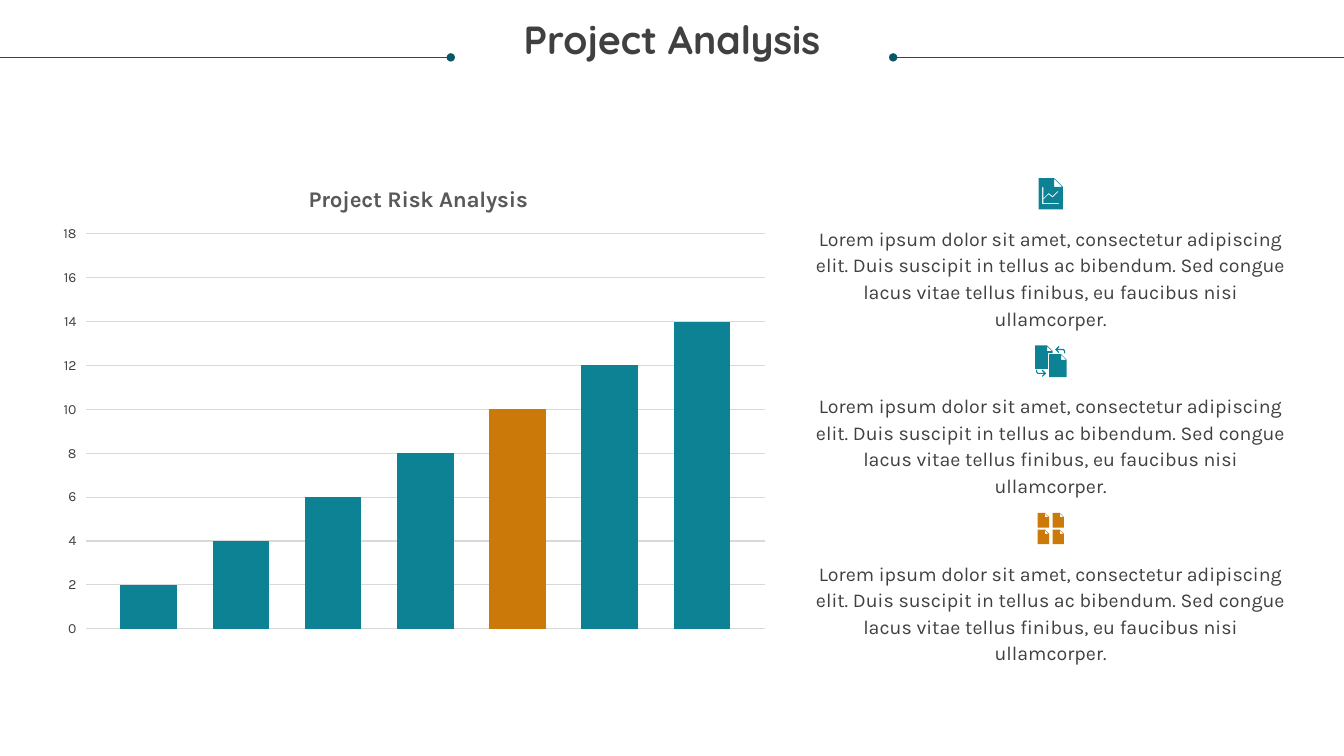
from lxml import etree
from pptx import Presentation
from pptx.chart.data import CategoryChartData
from pptx.dml.color import RGBColor
from pptx.enum.chart import XL_CHART_TYPE, XL_TICK_LABEL_POSITION, XL_TICK_MARK
from pptx.enum.shapes import MSO_CONNECTOR
from pptx.enum.text import MSO_ANCHOR, MSO_AUTO_SIZE, PP_ALIGN
from pptx.oxml.ns import qn
from pptx.util import Pt

COLUMN = XL_CHART_TYPE.COLUMN_CLUSTERED
LOW = XL_TICK_LABEL_POSITION.LOW
NO_TICK = XL_TICK_MARK.NONE
STRAIGHT = MSO_CONNECTOR.STRAIGHT
TOP = MSO_ANCHOR.TOP
FIXED = MSO_AUTO_SIZE.NONE
CENTER = PP_ALIGN.CENTER

TEAL, ORANGE, DARK, GREY = "0D8295", "CB7A09", "404040", "595959"
WIDE = 960
MID = 756.8
NOTE = ("Lorem ipsum dolor sit amet, consectetur adipiscing elit. "
        "Duis suscipit in tellus ac bibendum. Sed congue lacus vitae "
        "tellus finibus, eu faucibus nisi ullamcorper.")


def color(code):
    return RGBColor.from_string(code)


def style(font, face, size, code, bold=False):
    font.name = face
    font.size = Pt(size)
    font.bold = bold
    font.color.rgb = color(code)


def place(shape, left, top, width, height):
    shape.left, shape.top = Pt(left), Pt(top)
    shape.width, shape.height = Pt(width), Pt(height)


def write(shape, text, spacing, *look):
    """Fill a shape with one centred paragraph, without margins."""
    frame = shape.text_frame
    frame.word_wrap = True
    frame.auto_size = FIXED
    frame.vertical_anchor = TOP
    frame.margin_left = frame.margin_right = 0
    frame.margin_top = frame.margin_bottom = 0
    para = frame.paragraphs[0]
    para.alignment = CENTER
    para.line_spacing = spacing
    run = para.add_run()
    run.text = text
    style(run.font, *look)


def add_rule(shapes, dot, edge, y):
    """Draw a line from its round dot to the slide's edge."""
    rule = shapes.add_connector(STRAIGHT, Pt(dot), Pt(y), Pt(edge), Pt(y))
    rule.line.color.rgb = color("085764")
    rule.line.width = Pt(0.5)
    etree.SubElement(rule.line._get_or_add_ln(), qn("a:headEnd"), type="oval")
    etree.SubElement(rule._element.spPr, qn("a:effectLst"))


def add_path(shapes, x, y, loops, code):
    """Draw closed loops, given in points from x, y, as one shape."""
    loops = [[(100 * (x + dx), 100 * (y + dy)) for dx, dy in loop]
             for loop in loops]
    pen = shapes.build_freeform(*loops[0][0], scale=Pt(1) / 100)
    pen.add_line_segments(loops[0][1:])
    for loop in loops[1:]:
        pen.move_to(*loop[0])
        pen.add_line_segments(loop[1:])
    shape = pen.convert_to_shape()
    shape.shadow.inherit = False
    shape.fill.solid()
    shape.fill.fore_color.rgb = color(code)
    shape.line.fill.background()


def add_page(shapes, x, y, width, height, fold, code, base=None, holes=()):
    """Draw a sheet with a folded corner; base replaces its lower right."""
    bend = width - fold
    base = base or [(width, height)]
    sheet = [(0, 0), (bend, 0), (width, fold), *base, (0, height)]
    flap = [(bend, 0.4), (bend, fold), (width - 0.4, fold)]
    add_path(shapes, x, y, [sheet, flap, *holes], code)


def add_report(shapes, x, y):
    axes = [(2.6, 6.6), (3.4, 6.6), (3.4, 17.9), (14.4, 17.9),
            (14.4, 18.7), (2.6, 18.7)]
    trend = [(3.4, 14.4), (7.1, 10.7), (10, 12.9), (13.8, 9.2),
             (14.3, 9.7), (10, 13.9), (7.1, 11.7), (3.4, 15.4)]
    add_page(shapes, x, y, 17.4, 22.4, 6.4, TEAL, holes=[axes, trend])


def add_swap(shapes, x, y):
    group = shapes.add_group_shape().shapes
    notch = [(12.6, 5.4), (9.2, 5.4), (9.2, 16.6)]
    add_page(group, x, y, 12.6, 16.6, 4, TEAL, notch)
    add_page(group, x + 10, y + 6.2, 12.6, 16.4, 4, TEAL)
    hook = [(0, 2.5), (2.5, 0), (3.1, 0.6), (1.6, 2.1), (6, 2.1),
            (7.2, 3.3), (7.2, 5.2), (6.4, 5.2), (6.4, 3.6), (5.7, 2.9),
            (1.6, 2.9), (3.1, 4.4), (2.5, 5)]
    add_path(group, x + 14.4, y + 0.4, [hook], TEAL)
    turned = [(-dx, -dy) for dx, dy in hook]
    add_path(group, x + 8, y + 22.4, [turned], TEAL)


def add_tiles(shapes, x, y):
    group = shapes.add_group_shape().shapes
    for index in range(4):
        row, col = divmod(index, 2)
        add_page(group, x + 10.6 * col, y + 11.9 * row, 8.2, 10.4, 3, ORANGE)


def add_bars(shapes):
    data = CategoryChartData()
    data.categories = ["1"]
    for number in range(1, 8):
        data.add_series(f"Series {number}", [2 * number])
    chart = shapes.add_chart(COLUMN, Pt(41), Pt(118.8), Pt(515.5),
                             Pt(344.2), data).chart
    style(chart.font, "Karla", 10, "000000")
    chart.has_legend = False
    chart.has_title = True
    run = chart.chart_title.text_frame.paragraphs[0].add_run()
    run.text = "Project Risk Analysis"
    style(run.font, "Karla", 16, GREY, True)
    chart.chart_title.include_in_layout = False

    chart.category_axis.visible = False
    axis = chart.value_axis
    axis.minimum_scale, axis.maximum_scale, axis.major_unit = 0, 18, 2
    axis.major_tick_mark = axis.minor_tick_mark = NO_TICK
    axis.tick_label_position = LOW
    axis.format.line.fill.background()
    axis.major_gridlines.format.line.color.rgb = color("D9D9D9")
    axis.major_gridlines.format.line.width = Pt(0.75)
    style(axis.tick_labels.font, "Karla", 10, DARK)

    plot = chart.plots[0]
    plot.vary_by_categories = False
    plot.gap_width, plot.overlap = 121, -63
    for index, bar in enumerate(plot.series):
        bar.format.fill.solid()
        bar.format.fill.fore_color.rgb = color(ORANGE if index == 4 else TEAL)
    set_area(chart, x=0.04, y=0.14, w=0.94, h=0.82)


def set_area(chart, **parts):
    """Fix the plot area as fractions of the chart."""
    area = chart._chartSpace.chart.plotArea
    for old in area.findall(qn("c:layout")):
        area.remove(old)
    layout = etree.Element(qn("c:layout"))
    area.insert(0, layout)
    manual = etree.SubElement(layout, qn("c:manualLayout"))
    marks = {"layoutTarget": "inner", "xMode": "edge", "yMode": "edge"}
    for tag, value in {**marks, **parts}.items():
        etree.SubElement(manual, qn(f"c:{tag}"), val=str(value))


def main():
    deck = Presentation()
    deck.slide_width, deck.slide_height = Pt(WIDE), Pt(540)
    slide = deck.slides.add_slide(deck.slide_layouts[5])
    shapes = slide.shapes

    place(shapes.title, 18, 15, 924, 52.6)
    write(shapes.title, "Project Analysis", 0.9, "Quicksand", 28, DARK, True)
    add_rule(shapes, 638, WIDE, 41)
    add_rule(shapes, 322, 0, 41)
    add_bars(shapes)

    icons = [(add_report, 17.4), (add_swap, 22.6), (add_tiles, 18.8)]
    for index, (draw, width) in enumerate(icons):
        top = 127.2 + 119.6 * index
        draw(shapes, MID - width / 2 - 6.2, top)
        box = shapes.add_textbox(Pt(582.5), Pt(top + 32.6), Pt(336), Pt(56))
        write(box, NOTE, Pt(19), "Karla", 14, DARK)

    deck.save("out.pptx")


if __name__ == "__main__":
    main()
